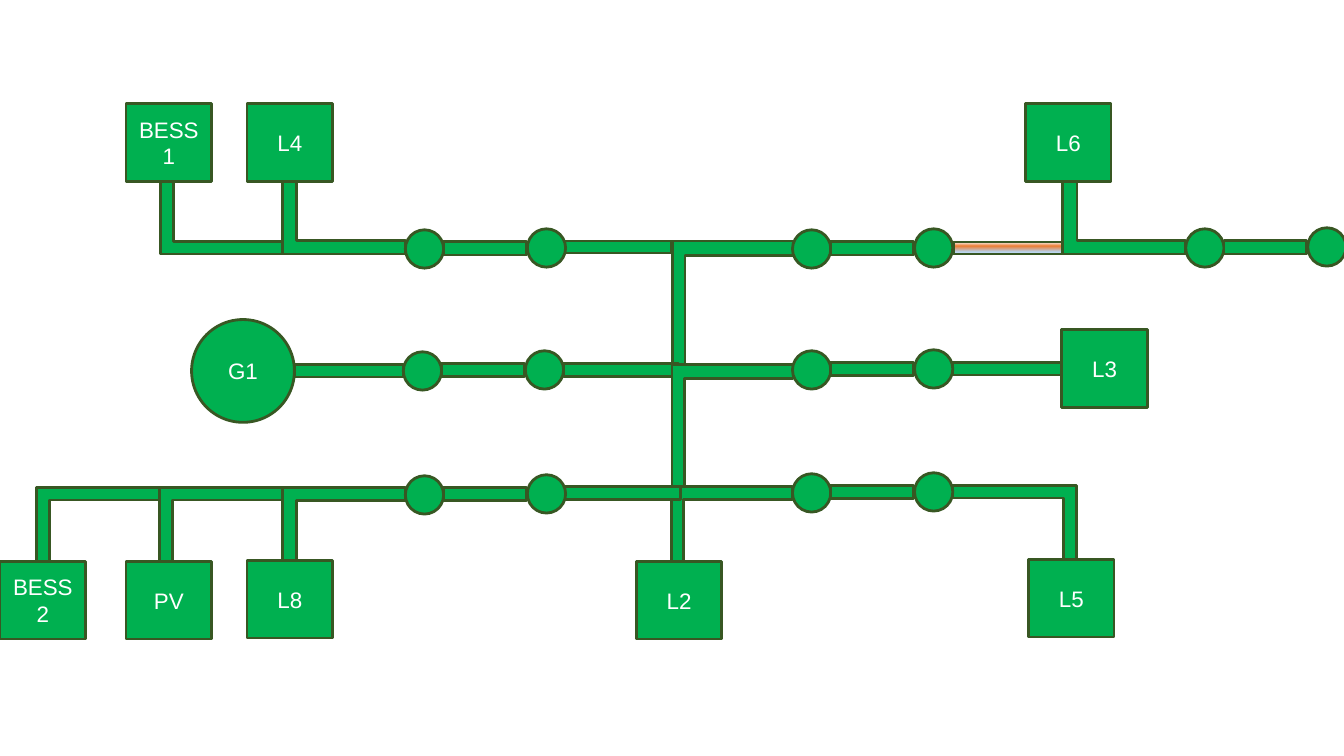
from lxml import etree
from pptx import Presentation
from pptx.dml.color import RGBColor
from pptx.enum import shapes, text
from pptx.oxml.ns import qn
from pptx.util import Inches, Pt

COLORS = {"energized": "00B050", "outline": "385723", "label": "FFFFFF"}
FAULT_STOPS = {0: "F7FAFD", 34: "ED7D31", 83: "B5D2EC", 100: "CEE1F2"}
KIND = shapes.MSO_SHAPE
DOT = 0.38
DOT_PITCH = 1.21
LINK = (0.82, 0.13)
NODE = (0.85, 0.77)
BRANCH = (1.22, 0.73)
FRAME_FORMAT = {"word_wrap": True, "vertical_anchor": text.MSO_ANCHOR.MIDDLE}
FONT_FORMAT = {"name": "Arial", "size": Pt(16)}


def apply_format(target, values):
    for name, value in values.items():
        setattr(target, name, value)


def rgb(name):
    return RGBColor.from_string(COLORS[name])


def add_part(slide, kind, left, top, width, height):
    part = slide.shapes.add_shape(kind, *map(Inches, (left, top, width, height)))
    part.shadow.inherit = False
    part.fill.solid()
    part.fill.fore_color.rgb = rgb("energized")
    part.line.color.rgb = rgb("outline")
    part.line.width = Pt(2)
    return part


def add_bus(slide, left, top, width, height=0.13):
    return add_part(slide, KIND.RECTANGLE, left, top, width, height)


def add_elbow(slide, left, top, size, thickness, rotation=0, flips=""):
    elbow = add_part(slide, KIND.CORNER, left, top, *size)
    elbow.rotation = rotation
    for index, value in enumerate(thickness):
        elbow.adjustments[index] = value
    transform = elbow._element.spPr.find(qn("a:xfrm"))
    for axis in flips:
        transform.set("flip" + axis, "1")


def add_switch_pair(slide, left, top):
    add_part(slide, KIND.OVAL, left, top, DOT, DOT)
    add_part(slide, KIND.OVAL, left + DOT_PITCH, top - 0.01, DOT, DOT)
    add_bus(slide, left + DOT, top + 0.12, *LINK)


def add_node(slide, label, left, top, kind=KIND.RECTANGLE, size=NODE):
    frame = add_part(slide, kind, left, top, *size).text_frame
    apply_format(frame, FRAME_FORMAT)
    frame.text = label
    for paragraph in frame.paragraphs:
        paragraph.alignment = text.PP_ALIGN.CENTER
        for run in paragraph.runs:
            apply_format(run.font, FONT_FORMAT)
            run.font.color.rgb = rgb("label")


def shade_fault(bus):
    bus.fill.gradient()
    bus.fill.gradient_angle = 270
    stops = bus._element.spPr.find(".//" + qn("a:gsLst"))
    for stop in list(stops):
        stops.remove(stop)
    for position, color in FAULT_STOPS.items():
        stop = etree.SubElement(stops, qn("a:gs"), pos=str(position * 1000))
        etree.SubElement(stop, qn("a:srgbClr"), val=color)


def draw_wires(slide):
    add_elbow(slide, 1.59, 1.79, BRANCH, (0.167, 0.176))
    add_elbow(slide, 2.8, 1.79, BRANCH, (0.181, 0.194))

    add_elbow(slide, 6.63, 2.43, (1.28, 1.2), (0.103, 0.118), 90)
    add_bus(slide, 5.58, 2.39, 1.08, 0.12)
    add_bus(slide, 5.59, 3.61, 1.14)
    add_elbow(slide, 6.62, 3.66, (1.29, 1.2), (0.103, 0.118), 90)
    add_bus(slide, 2.92, 3.62, 1.08, 0.12)
    add_bus(slide, 9.45, 3.6, 1.08, 0.12)
    add_elbow(slide, 6.89, 4.6, (0.74, 1.2), (0.164, 0.17), 90)
    add_bus(slide, 5.58, 4.83, 1.17)

    add_elbow(slide, 2.8, 4.84, BRANCH, (0.17, 0.194), flips="V")
    for left in (1.58, 0.36):
        add_elbow(slide, left, 4.84, BRANCH, (0.165, 0.179), flips="V")
    add_elbow(slide, 9.45, 4.82, (1.23, 0.73), (0.165, 0.179), flips="HV")

    shade_fault(add_bus(slide, 9.46, 2.4, 1.08, 0.12))
    add_elbow(slide, 10.54, 1.79, BRANCH, (0.181, 0.194))


def main():
    deck = Presentation()
    deck.slide_width, deck.slide_height = Inches(13.33), Inches(7.5)
    slide = deck.slides.add_slide(deck.slide_layouts[6])

    draw_wires(slide)

    switch_pairs = [
        (4.02, 2.28), (7.86, 2.28), (11.76, 2.27),
        (4.0, 3.49), (7.86, 3.48),
        (4.02, 4.72), (7.86, 4.7),
    ]
    for left, top in switch_pairs:
        add_switch_pair(slide, left, top)

    nodes = [
        ("BESS\n1", 1.25, 1.03), ("L4", 2.45, 1.03), ("L6", 10.17, 1.03),
        ("BESS2", 0, 5.57), ("PV", 1.25, 5.57), ("L8", 2.45, 5.56),
        ("L2", 6.31, 5.57), ("L5", 10.2, 5.55), ("L3", 10.53, 3.27),
    ]
    for label, left, top in nodes:
        add_node(slide, label, left, top)
    add_node(slide, "G1", 1.9, 3.17, KIND.OVAL, (1.02, 1.02))

    deck.save("out.pptx")


main()
